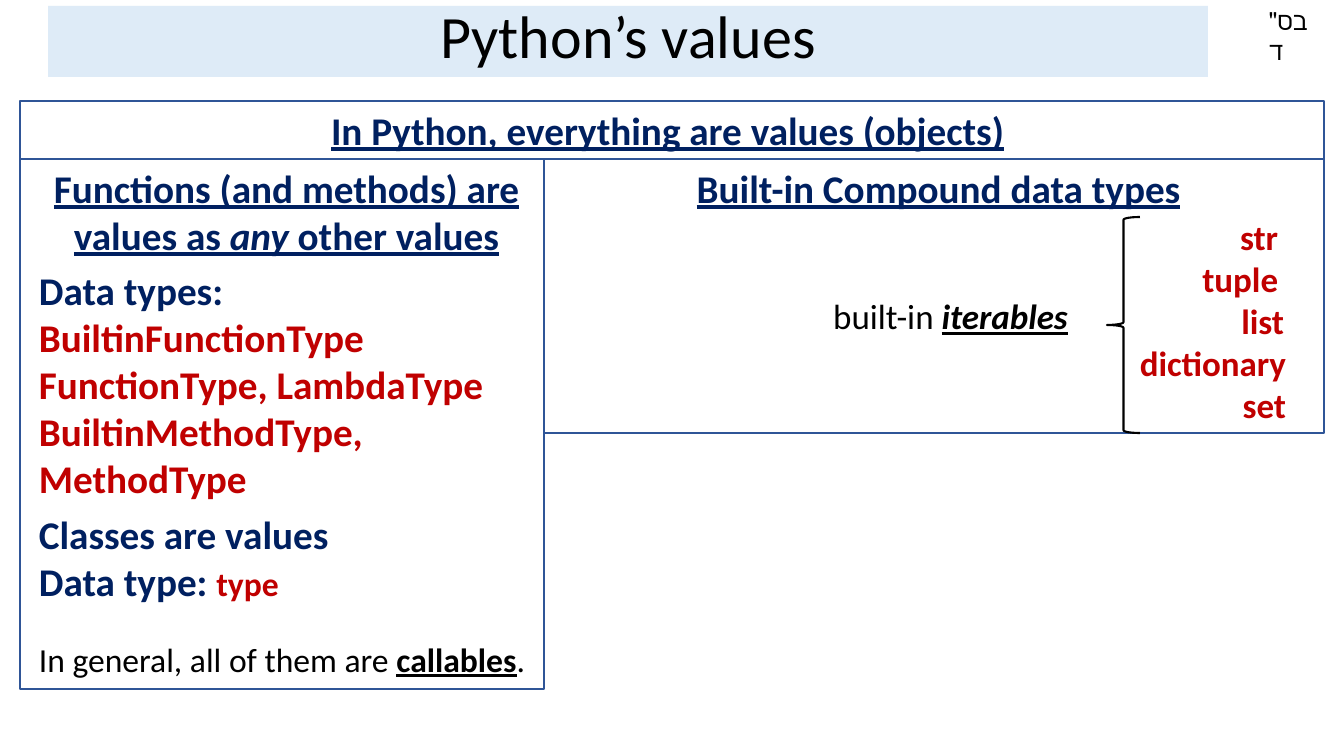
from pptx import Presentation
from pptx.dml.color import RGBColor
from pptx.enum.shapes import MSO_SHAPE
from pptx.enum.text import MSO_ANCHOR, PP_ALIGN
from pptx.util import Pt

PX = 914400 / 100.8
FACE = "Calibri"
BLACK = RGBColor(0x00, 0x00, 0x00)
NAVY = RGBColor(0x00, 0x20, 0x60)
RED = RGBColor(0xC0, 0x00, 0x00)
EDGE = RGBColor(0x2F, 0x55, 0x97)
PALE = RGBColor(0xDE, 0xEB, 0xF7)
LEFT, MID, RIGHT = PP_ALIGN.LEFT, PP_ALIGN.CENTER, PP_ALIGN.RIGHT
TYPES = [("str", 36), ("tuple", 36), ("list", 30), ("dictionary", 28), ("set", 28)]


def px(*nums):
    return [round(n * PX) for n in nums]


def add_run(para, text, size=28, color=NAVY, bold=True, line=False, slant=False):
    run = para.add_run()
    run.text = text
    font = run.font
    font.name, font.size, font.color.rgb = FACE, Pt(size), color
    font.bold, font.underline, font.italic = bold, line, slant


def add_para(frame, align=LEFT, indent=9, rtl=False, before=0, after=0, space=None):
    """Reuse the empty first paragraph, else append one; indent is on the reading side."""
    para = frame.paragraphs[0]
    if para.runs:
        para = frame.add_paragraph()
    para.alignment = align
    para.space_before, para.space_after = Pt(before), Pt(after)
    para.line_spacing = space
    props = para._p.get_or_add_pPr()
    props.set("marL", str(px(indent)[0]))
    props.set("indent", "0")
    if rtl:
        props.set("rtl", "1")
    return para


def add_frame(slide, box):
    shape = slide.shapes.add_shape(MSO_SHAPE.RECTANGLE, *px(*box))
    shape.shadow.inherit = False
    shape.fill.background()
    shape.line.color.rgb = EDGE
    shape.line.width = Pt(1.75)
    frame = shape.text_frame
    frame.word_wrap = True
    frame.vertical_anchor = MSO_ANCHOR.TOP
    return frame


def add_label(slide, box):
    frame = slide.shapes.add_textbox(*px(*box)).text_frame
    frame.word_wrap = True
    return frame


def add_title(slide, box):
    title = slide.shapes.title
    title.left, title.top, title.width, title.height = px(*box)
    title.fill.solid()
    title.fill.fore_color.rgb = PALE
    frame = title.text_frame
    frame.word_wrap = True
    frame.vertical_anchor = MSO_ANCHOR.MIDDLE
    para = add_para(frame, MID, 0, space=0.8)
    add_run(para, "Python’s values", 42.9, BLACK, False)


def add_corner(slide, box):
    para = add_para(add_label(slide, box), indent=0)
    add_run(para, "בס\"ד", 18, BLACK, False)


def add_header(slide, box):
    para = add_para(add_frame(slide, box), MID, rtl=True, after=12)
    add_run(para, "In Python, everything are values (objects)", line=True)


def add_calls(slide, box):
    """Left panel: functions, methods and classes as values."""
    frame = add_frame(slide, box)
    head = add_para(frame, MID)
    add_run(head, "Functions (and methods) are values as ", line=True)
    add_run(head, "any", line=True, slant=True)
    add_run(head, " other values", line=True)
    add_run(add_para(frame, before=6), "Data types:")
    for name in ("BuiltinFunctionType", "FunctionType, LambdaType",
                 "BuiltinMethodType, MethodType"):
        add_run(add_para(frame), name, color=RED)
    add_run(add_para(frame, before=6), "Classes are values")
    kind = add_para(frame)
    add_run(kind, "Data type: ")
    add_run(kind, "type", 24, RED)
    note = add_para(frame, before=10, space=1.5)
    add_run(note, "In general, all of them are ", 24, BLACK, False)
    add_run(note, "callables", 24, BLACK, line=True)
    add_run(note, ".", 24, BLACK, False)


def add_data(slide, box):
    """Right panel: compound types, braced as iterables."""
    x, y, w, h = box
    frame = add_frame(slide, box)
    head = add_para(frame, MID, after=3)
    add_run(head, "Built-in Compound data types", line=True)
    for name, indent in TYPES:
        add_run(add_para(frame, RIGHT, indent, rtl=True), name, 25, RED)
    brace = slide.shapes.add_shape(
        MSO_SHAPE.LEFT_BRACE, *px(x + w - 217, y + 58, 33, h - 58))
    brace.shadow.inherit = False
    brace.fill.background()
    brace.line.color.rgb = BLACK
    brace.line.width = Pt(1.5)
    label = add_label(slide, (x + 272, y + 131, 278, 52))
    para = add_para(label, MID, rtl=True, after=12)
    add_run(para, "built-in ", 25, BLACK, False)
    add_run(para, "iterables", 25, BLACK, line=True, slant=True)


def main():
    deck = Presentation()
    deck.slide_width, deck.slide_height = px(1344, 756)
    slide = deck.slides.add_slide(deck.slide_layouts[5])
    add_corner(slide, (1259, 0, 71, 40))
    add_title(slide, (48, 6, 1160, 71))
    add_data(slide, (544, 159, 780, 274))
    add_calls(slide, (20, 159, 524, 530))
    add_header(slide, (20, 101, 1304, 58))
    deck.save("out.pptx")


if __name__ == "__main__":
    main()
